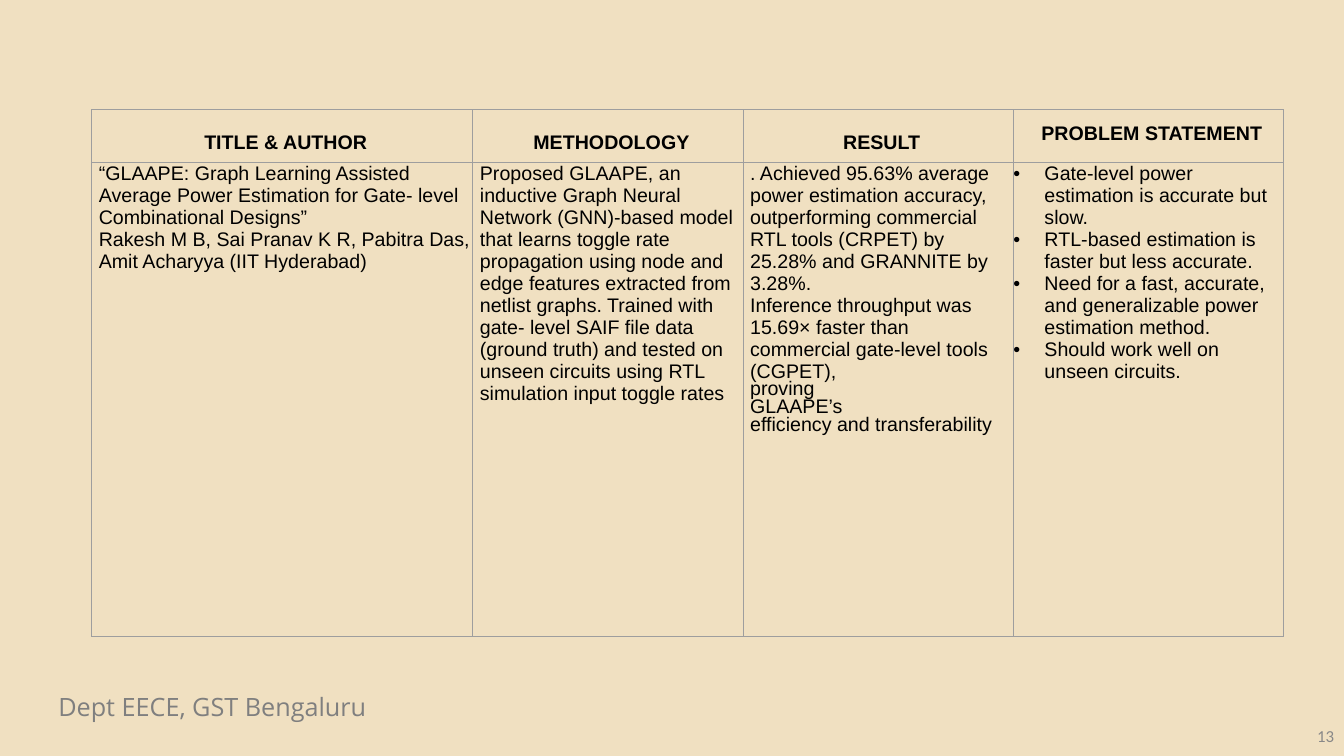
import pptx
import pptx.dml.color
import pptx.enum.text
import pptx.oxml
import pptx.oxml.ns
import pptx.util

Inches, Pt = pptx.util.Inches, pptx.util.Pt
ALIGN = pptx.enum.text.PP_ALIGN
ANCHOR = pptx.enum.text.MSO_ANCHOR

COLORS = {
    "page": "F0E0C1",
    "border": "9E9E9E",
    "text": "000000",
    "footer": "7F7F7F",
    "number": "888888",
}
COLUMN_WIDTHS = [3.78, 2.68, 2.68, 2.68]
ROW_HEIGHTS = [0.52, 4.7]
TEXT_INDENT = 0.07
BULLET_INDENT = 0.31
TIGHT = 12.6  # exact line spacing in points

# Heading, space above it in inches, exact line spacing
HEADINGS = [
    ("TITLE & AUTHOR", 0.22, None),
    ("METHODOLOGY", 0.22, None),
    ("RESULT", 0.22, None),
    ("PROBLEM STATEMENT", 0.17, TIGHT),
]
# Each column: paragraphs of (text, exact line spacing)
BODY = [
    [
        ("“GLAAPE: Graph Learning Assisted Average Power Estimation for "
         "Gate- level Combinational Designs”", None),
        ("Rakesh M B, Sai Pranav K R, Pabitra Das, Amit Acharyya "
         "(IIT Hyderabad)", None),
    ],
    [
        ("Proposed GLAAPE, an inductive Graph Neural Network (GNN)-based "
         "model that learns toggle rate propagation using node and edge "
         "features extracted from netlist graphs. Trained with gate- level "
         "SAIF file data (ground truth) and tested on unseen circuits using "
         "RTL simulation input toggle rates", None),
    ],
    [
        (". Achieved 95.63% average power estimation accuracy, outperforming "
         "commercial RTL tools (CRPET) by 25.28% and GRANNITE by 3.28%.", None),
        ("Inference throughput was", None),
        ("15.69× faster than commercial gate-level tools (CGPET),", None),
        ("proving", TIGHT),
        ("GLAAPE’s", TIGHT),
        ("efficiency and transferability", TIGHT),
    ],
    [
        ("Gate-level power estimation is accurate but slow.", None),
        ("RTL-based estimation is faster but less accurate.", None),
        ("Need for a fast, accurate, and generalizable power estimation "
         "method.", None),
        ("Should work well on unseen circuits.", None),
    ],
]


def rgb(name):
    return pptx.dml.color.RGBColor.from_string(COLORS[name])


def add_xml(parent, xml):
    namespace = pptx.oxml.ns.nsdecls("a")
    element = pptx.oxml.parse_xml(xml.replace(" ", f" {namespace} ", 1))
    parent.append(element)


def add_text(para, text, size, font, color, bold=False):
    span = para.add_run()
    span.text = text
    span.font.size = Pt(size)
    span.font.name = font
    span.font.bold = bold
    span.font.color.rgb = rgb(color)


def format_cell(cell, top=0):
    cell.margin_left = cell.margin_right = cell.margin_bottom = 0
    cell.margin_top = Inches(top)
    cell.vertical_anchor = ANCHOR.TOP
    properties = cell._tc.get_or_add_tcPr()
    for side in ("lnL", "lnR", "lnT", "lnB"):
        add_xml(properties, f'<a:{side} w="{Pt(0.75)}"><a:solidFill>'
                f'<a:srgbClr val="{COLORS["border"]}"/></a:solidFill></a:{side}>')
    cell.fill.background()


def fill_cell(cell, paragraphs, align=ALIGN.LEFT, bold=False, bullets=False):
    frame = cell.text_frame
    for index, (text, spacing) in enumerate(paragraphs):
        para = frame.paragraphs[0] if index == 0 else frame.add_paragraph()
        para.alignment = align
        if spacing:
            para.line_spacing = Pt(spacing)
        properties = para._p.get_or_add_pPr()
        indent = BULLET_INDENT if bullets else TEXT_INDENT
        properties.set("marL", str(Inches(indent)))
        properties.set("indent", str(-Inches(indent) if bullets else 0))
        if bullets:
            add_xml(properties, f'<a:buClr ><a:srgbClr val="{COLORS["text"]}"/></a:buClr>')
            add_xml(properties, '<a:buFont typeface="Arial"/>')
            add_xml(properties, '<a:buChar char="•"/>')
        add_text(para, text, 14, "Arial", "text", bold)


def add_review_table(page, left, top):
    frame = page.shapes.add_table(
        len(ROW_HEIGHTS), len(COLUMN_WIDTHS), left, top,
        Inches(sum(COLUMN_WIDTHS)), Inches(sum(ROW_HEIGHTS)))
    table = frame.table
    table.first_row = table.horz_banding = False
    for row, height in zip(table.rows, ROW_HEIGHTS):
        row.height = Inches(height)
    for index, width in enumerate(COLUMN_WIDTHS):
        table.columns[index].width = Inches(width)
        # Heading
        title, space, spacing = HEADINGS[index]
        heading = table.cell(0, index)
        format_cell(heading, space)
        fill_cell(heading, [(title, spacing)], ALIGN.CENTER, bold=True)
        # Body, bulleted in the last column
        body = table.cell(1, index)
        format_cell(body)
        fill_cell(body, BODY[index], bullets=index == len(BODY) - 1)


def add_label(page, bounds, text, size, font, color, align, anchor):
    box = page.shapes.add_textbox(*(Inches(length) for length in bounds))
    frame = box.text_frame
    frame.word_wrap = True
    frame.vertical_anchor = anchor
    frame.paragraphs[0].alignment = align
    add_text(frame.paragraphs[0], text, size, font, color)


def main():
    deck = pptx.Presentation()
    deck.slide_width, deck.slide_height = Inches(13.33), Inches(7.5)
    page = deck.slides.add_slide(deck.slide_layouts[6])
    page.background.fill.solid()
    page.background.fill.fore_color.rgb = rgb("page")

    # Footer and page number
    add_label(page, (0.48, 6.81, 5.24, 0.4), "Dept EECE, GST Bengaluru",
              18, "Open Sans", "footer", ALIGN.LEFT, ANCHOR.TOP)
    add_label(page, (10.33, 7.1, 3, 0.4), "13",
              12, "Calibri", "number", ALIGN.RIGHT, ANCHOR.MIDDLE)

    # Literature review table
    add_review_table(page, Inches(0.91), Inches(1.09))
    deck.save("out.pptx")


if __name__ == "__main__":
    main()
